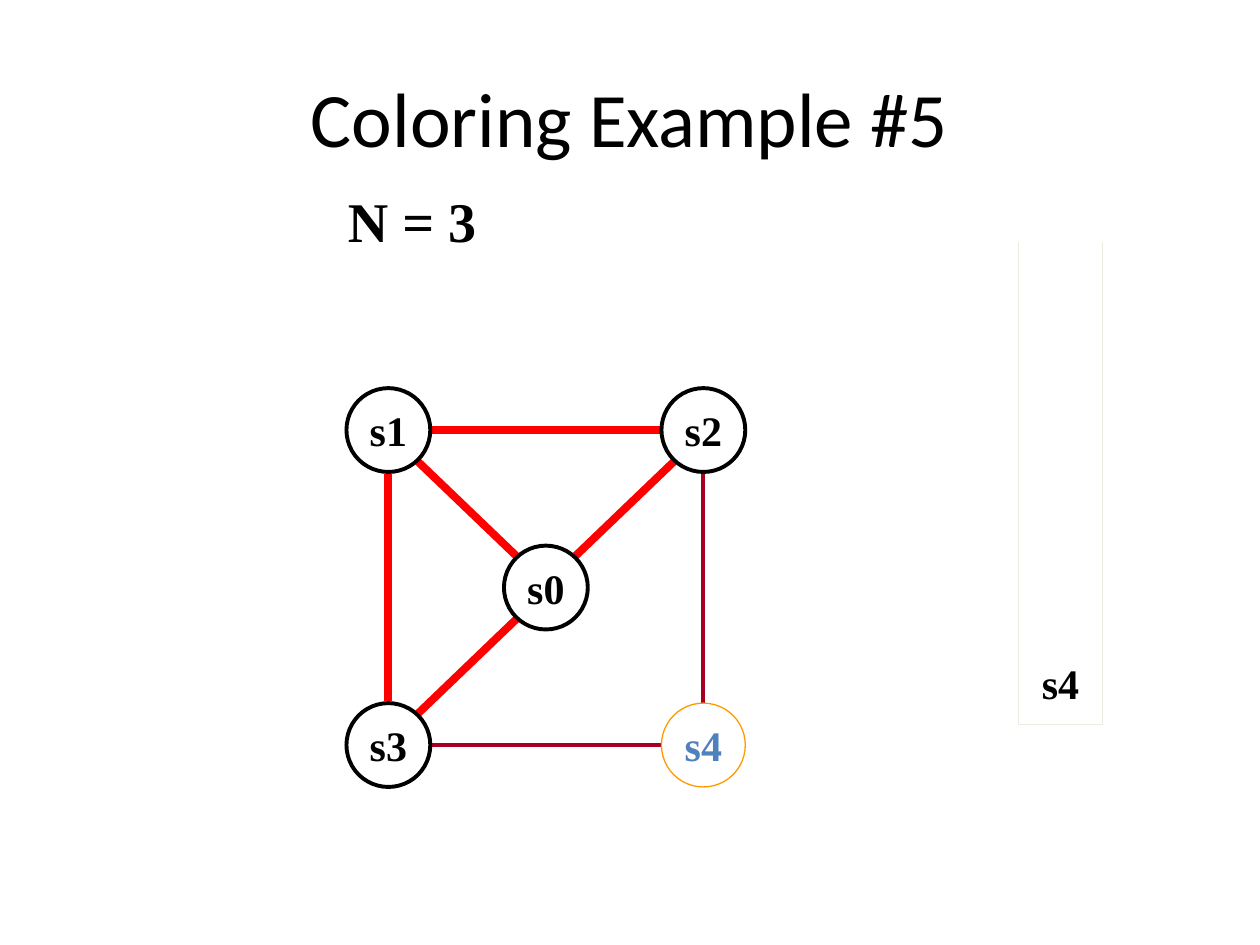
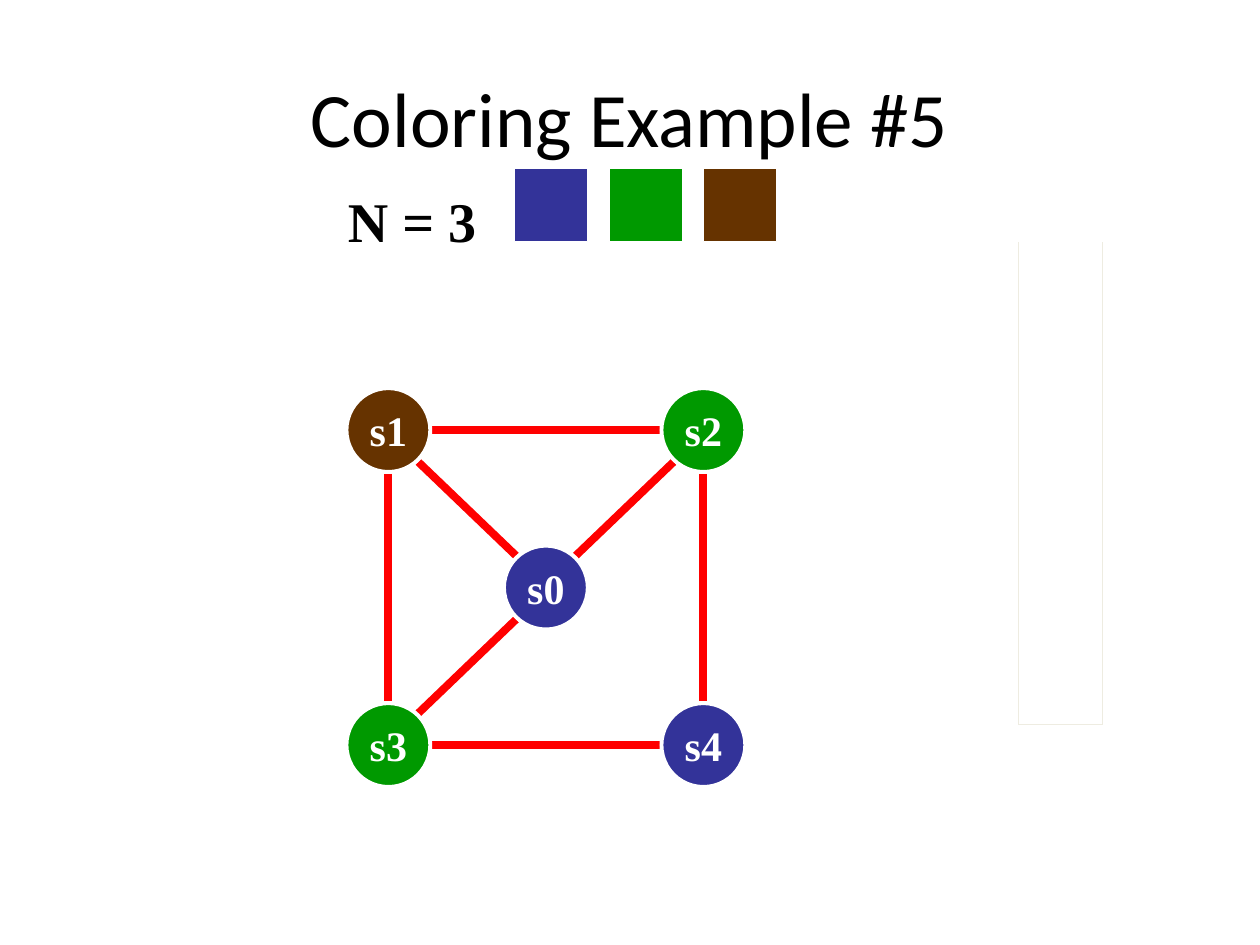
from lxml import etree
from pptx import Presentation
from pptx import util as u
from pptx.dml.color import RGBColor
from pptx.enum import shapes, text
from pptx.oxml.ns import qn

COLORS = {
    "black": "000000", "white": "FFFFFF", "stack": "EEECE1",
    "edge": "FF0000", "removed_edge": "A50021",
    "removed_node": "FF9900", "removed_label": "4F81BD",
    "blue": "333399", "green": "009900", "brown": "663300",
}
SERIF = "Times New Roman"

# Node centres in cm: a square with s0 in the middle
SIDE = 6.35
LEFT, TOP = 7.83, 8.67
DIAMETER = 1.69
NODES = {
    "s1": (LEFT, TOP),
    "s2": (LEFT + SIDE, TOP),
    "s3": (LEFT, TOP + SIDE),
    "s4": (LEFT + SIDE, TOP + SIDE),
    "s0": (LEFT + SIDE / 2, TOP + SIDE / 2),
}
EDGES = [("s1", "s2"), ("s0", "s2"), ("s1", "s0"), ("s1", "s3"),
         ("s3", "s4"), ("s2", "s4"), ("s3", "s0")]
STRAIGHT_GAP = 0.88
DIAGONAL_GAP = (0.6, 0.64)

# Stack outline in cm
STACK_LEFT, STACK_RIGHT, STACK_TOP, STACK_BOTTOM = 20.53, 22.23, 4.88, 14.61

STEPS = [
    {"colouring": {}, "removed": ["s4"], "palette": []},
    {"colouring": {"s0": "blue", "s1": "brown", "s2": "green",
                   "s3": "green", "s4": "blue"},
     "removed": [], "palette": ["blue", "green", "brown"]},
]


def add_text(slide, words, centre, size, width=1.24, height=1.27,
             color="black", font=SERIF, bold=True, wrap=False):
    x, y = centre
    box = slide.shapes.add_textbox(u.Cm(x - width / 2), u.Cm(y - height / 2),
                                   u.Cm(width), u.Cm(height))
    frame = box.text_frame
    frame.word_wrap = wrap
    frame.margin_left = frame.margin_right = 0
    if not wrap:
        frame.auto_size = text.MSO_AUTO_SIZE.SHAPE_TO_FIT_TEXT
    frame.vertical_anchor = text.MSO_ANCHOR.MIDDLE
    paragraph = frame.paragraphs[0]
    paragraph.alignment = text.PP_ALIGN.CENTER
    run = paragraph.add_run()
    run.text = words
    run.font.name, run.font.size, run.font.bold = font, u.Pt(size), bold
    run.font.color.rgb = RGBColor.from_string(COLORS[color])


def add_line(slide, start, end, color, width):
    line = slide.shapes.add_connector(shapes.MSO_CONNECTOR.STRAIGHT,
                                      *[u.Cm(c) for c in (*start, *end)])
    line.line.color.rgb = RGBColor.from_string(COLORS[color])
    line.line.width = u.Pt(width)
    etree.SubElement(line._element.spPr, qn("a:effectLst"))


prs = Presentation()
prs.slide_width, prs.slide_height = u.Cm(25.4), u.Cm(19.05)

for step in STEPS:
    slide = prs.slides.add_slide(prs.slide_layouts[6])

    # Title and number of colours
    add_text(slide, "Coloring Example #5", (12.7, 2.35), 44, width=22.86,
             height=3.18, font="Calibri", bold=False, wrap=True)
    add_text(slide, "N = 3", (8.31, 4.44), 32, width=3.1, height=1.63)

    # Stack, open at the top, with the removed nodes in it
    corners = [(STACK_LEFT, STACK_TOP), (STACK_LEFT, STACK_BOTTOM),
               (STACK_RIGHT, STACK_BOTTOM), (STACK_RIGHT, STACK_TOP)]
    for start, end in zip(corners, corners[1:]):
        add_line(slide, start, end, "stack", 0.75)
    for level, node in enumerate(step["removed"]):
        add_text(slide, node, ((STACK_LEFT + STACK_RIGHT) / 2,
                               STACK_BOTTOM - 0.84 - 1.27 * level), 24)

    # Edges, stopping just short of their nodes or touching a removed one
    for first, second in EDGES:
        removed = second in step["removed"]
        (x1, y1), (x2, y2) = NODES[first], NODES[second]
        way_x, way_y = (x2 > x1) - (x2 < x1), (y2 > y1) - (y2 < y1)
        gap_x, gap_y = DIAGONAL_GAP if way_x and way_y else (STRAIGHT_GAP,) * 2
        end_x, end_y = (DIAMETER / 2,) * 2 if removed else (gap_x, gap_y)
        add_line(slide, (x1 + way_x * gap_x, y1 + way_y * gap_y),
                 (x2 - way_x * end_x, y2 - way_y * end_y),
                 "removed_edge" if removed else "edge", 2.25 if removed else 4.5)

    # Nodes and palette squares: kind, left, top, size, fill, outline, weight
    figures = []
    for node, (x, y) in NODES.items():
        fill = step["colouring"].get(node)
        removed = node in step["removed"]
        outline = "white" if fill else "removed_node" if removed else "black"
        figures.append((shapes.MSO_SHAPE.OVAL, x - DIAMETER / 2, y - DIAMETER / 2,
                        DIAMETER, fill, outline, 0.75 if removed else 2.25))
    for place, fill in enumerate(step["palette"]):
        figures.append((shapes.MSO_SHAPE.RECTANGLE, 10.37 + 1.905 * place, 3.39,
                        1.48, fill, "white", 0.75))
    for kind, left, top, size, fill, outline, weight in figures:
        figure = slide.shapes.add_shape(kind, u.Cm(left), u.Cm(top),
                                        u.Cm(size), u.Cm(size))
        figure.shadow.inherit = False
        if fill:
            figure.fill.solid()
            figure.fill.fore_color.rgb = RGBColor.from_string(COLORS[fill])
        else:
            figure.fill.background()
        figure.line.color.rgb = RGBColor.from_string(COLORS[outline])
        figure.line.width = u.Pt(weight)

    # Node labels
    for node, centre in NODES.items():
        color = ("white" if node in step["colouring"] else
                 "removed_label" if node in step["removed"] else "black")
        add_text(slide, node, centre, 24, color=color)

prs.save("out.pptx")
